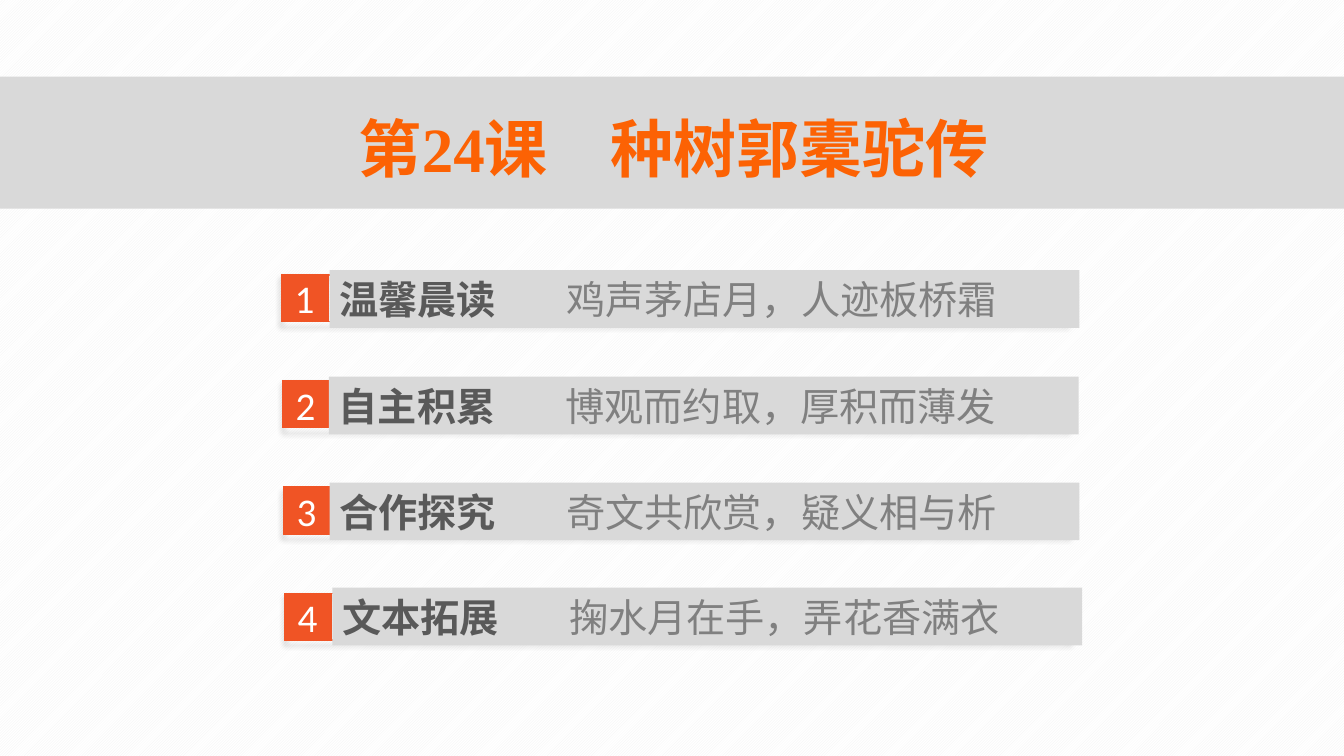
"""Build the contents slide of a Chinese literature lesson."""
from dataclasses import dataclass

from lxml import etree
from pptx import Presentation
from pptx.dml.color import RGBColor
from pptx.enum.dml import MSO_PATTERN
from pptx.enum.shapes import MSO_SHAPE
from pptx.enum.text import MSO_ANCHOR, MSO_AUTO_SIZE, PP_ALIGN
from pptx.oxml import parse_xml
from pptx.oxml.ns import nsdecls, qn
from pptx.shapes.autoshape import Shape
from pptx.shapes.shapetree import GroupShapes, SlideShapes
from pptx.slide import Slide
from pptx.text.text import _Run
from pptx.util import Pt

RECTANGLE = MSO_SHAPE.RECTANGLE
DIAGONAL = MSO_PATTERN.LIGHT_UPWARD_DIAGONAL
MIDDLE = MSO_ANCHOR.MIDDLE
NO_AUTOFIT = MSO_AUTO_SIZE.NONE
LEFT, CENTER = PP_ALIGN.LEFT, PP_ALIGN.CENTER
TITLE_ONLY = 5


@dataclass(frozen=True)
class Theme:
    """Colours, fonts and type sizes of the slide."""
    white: str = "FFFFFF"
    stripe: str = "F2F2F2"
    band: str = "D9D9D9"
    accent: str = "F05425"
    title: str = "FC6204"
    heading: str = "595959"
    verse: str = "808080"
    chinese: str = "Noto Sans CJK SC"
    number_font: str = "Calibri"
    title_font: str = "Times New Roman"
    title_size: float = 45
    entry_size: float = 28


@dataclass(frozen=True)
class Frame:
    """Position and size in points."""
    left: float
    top: float
    width: float
    height: float


@dataclass(frozen=True)
class Entry:
    """One line of the contents with its heading and verse."""
    heading: str
    verse: str
    bar_left: float
    bar_top: float


THEME = Theme()
TITLE_FRAME = Frame(82.8, 75.6, 797, 59)
BAND_FRAME = Frame(0, 54.7, 960, 94.3)
FIRST_LEFT, FIRST_TOP = 200.9, 196.4
LEFT_STEP, TOP_STEP = 0.72, 75.8
OUTLINE_WIDTH, NUMBER_SIDE = 561, 33.4
BAR_WIDTH, BAR_HEIGHT = 535.7, 41.2
VERSE_TAB = 162
ENTRIES = (
    Entry("温馨晨读", "鸡声茅店月，人迹板桥霜", 235.4, 193),
    Entry("自主积累", "博观而约取，厚积而薄发", 234.9, 269.1),
    Entry("合作探究", "奇文共欣赏，疑义相与析", 235.4, 344.7),
    Entry("文本拓展", "掬水月在手，弄花香满衣", 237.4, 419.8),
)


def add_rectangle(shapes: SlideShapes | GroupShapes, frame: Frame,
                  fill: str | None, line: str | None = None) -> Shape:
    """Add a flat rectangle with an optional fill and outline."""
    box = shapes.add_shape(RECTANGLE, Pt(frame.left), Pt(frame.top),
                           Pt(frame.width), Pt(frame.height))
    box.shadow.inherit = False
    if fill:
        box.fill.solid()
        box.fill.fore_color.rgb = RGBColor.from_string(fill)
    else:
        box.fill.background()
    if line:
        box.line.color.rgb = RGBColor.from_string(line)
        box.line.width = Pt(1)
    else:
        box.line.fill.background()
    return box


def add_shadow(box: Shape) -> None:
    """Give the box a soft shadow below it."""
    effects = box.element.spPr.find(qn("a:effectLst"))
    effects.append(parse_xml(
        f'<a:outerShdw {nsdecls("a")} blurRad="{Pt(4)}" dist="{Pt(3)}" '
        'dir="5400000" rotWithShape="0"><a:srgbClr val="000000">'
        '<a:alpha val="40000"/></a:srgbClr></a:outerShdw>'))


def format_span(span: _Run, size: float, color: str, font: str,
                bold: bool = False) -> None:
    """Set the type of a run, with the Chinese font for its ideographs."""
    span.font.size = Pt(size)
    span.font.bold = bold
    span.font.color.rgb = RGBColor.from_string(color)
    span.font.name = font
    latin = span.font._element.find(qn("a:latin"))
    east_asian = etree.Element(qn("a:ea"), typeface=THEME.chinese)
    latin.addnext(east_asian)


def add_number(shapes: GroupShapes, frame: Frame, number: int) -> None:
    """Add the orange square with the number of an entry."""
    box = add_rectangle(shapes, frame, THEME.accent, THEME.accent)
    box.text_frame.text = str(number)
    box.text_frame.vertical_anchor = MIDDLE
    para = box.text_frame.paragraphs[0]
    para.alignment = CENTER
    format_span(para.runs[0], THEME.entry_size, THEME.white, THEME.number_font)


def add_bar(shapes: GroupShapes, entry: Entry) -> None:
    """Add the grey bar with heading and verse."""
    frame = Frame(entry.bar_left, entry.bar_top, BAR_WIDTH, BAR_HEIGHT)
    box = add_rectangle(shapes, frame, THEME.band)
    text = box.text_frame
    text.text = f"{entry.heading}\t"
    text.word_wrap = True
    text.auto_size = NO_AUTOFIT
    text.vertical_anchor = MIDDLE
    text.margin_top = text.margin_bottom = 0
    para = text.paragraphs[0]
    para.alignment = LEFT
    properties = para._p.get_or_add_pPr()
    tabs = etree.SubElement(properties, qn("a:tabLst"))
    etree.SubElement(tabs, qn("a:tab"), pos=str(Pt(VERSE_TAB)), algn="l")
    verse = para.add_run()
    verse.text = entry.verse
    format_span(para.runs[0], THEME.entry_size, THEME.heading, THEME.chinese, True)
    format_span(verse, THEME.entry_size, THEME.verse, THEME.chinese)


def add_entry(page: Slide, index: int, entry: Entry) -> None:
    """Add one grouped entry of the contents."""
    shapes = page.shapes.add_group_shape().shapes
    left, top = FIRST_LEFT + index * LEFT_STEP, FIRST_TOP + index * TOP_STEP
    outline = add_rectangle(shapes, Frame(left, top, OUTLINE_WIDTH, NUMBER_SIDE),
                            None, THEME.accent)
    add_shadow(outline)
    add_number(shapes, Frame(left, top, NUMBER_SIDE, NUMBER_SIDE), index + 1)
    add_bar(shapes, entry)


def set_title(page: Slide, wording: str) -> None:
    """Place the title in front of its band and format it."""
    title = page.shapes.title
    page.shapes.element.append(title.element)
    title.left, title.top = Pt(TITLE_FRAME.left), Pt(TITLE_FRAME.top)
    title.width, title.height = Pt(TITLE_FRAME.width), Pt(TITLE_FRAME.height)
    title.text_frame.text = wording
    title.text_frame.auto_size = NO_AUTOFIT
    title.text_frame.vertical_anchor = MIDDLE
    para = title.text_frame.paragraphs[0]
    para.alignment = CENTER
    para.space_before = Pt(0)
    format_span(para.runs[0], THEME.title_size, THEME.title, THEME.title_font, True)


def main() -> None:
    """Build and save the deck."""
    deck = Presentation()
    deck.slide_width, deck.slide_height = Pt(960), Pt(540)
    page = deck.slides.add_slide(deck.slide_layouts[TITLE_ONLY])
    backdrop = page.background.fill
    backdrop.patterned()
    backdrop.pattern = DIAGONAL
    backdrop.fore_color.rgb = RGBColor.from_string(THEME.stripe)
    backdrop.back_color.rgb = RGBColor.from_string(THEME.white)
    add_rectangle(page.shapes, BAND_FRAME, THEME.band)
    for index, entry in enumerate(ENTRIES):
        add_entry(page, index, entry)
    set_title(page, "第24课　种树郭橐驼传")
    deck.save("out.pptx")


if __name__ == "__main__":
    main()
